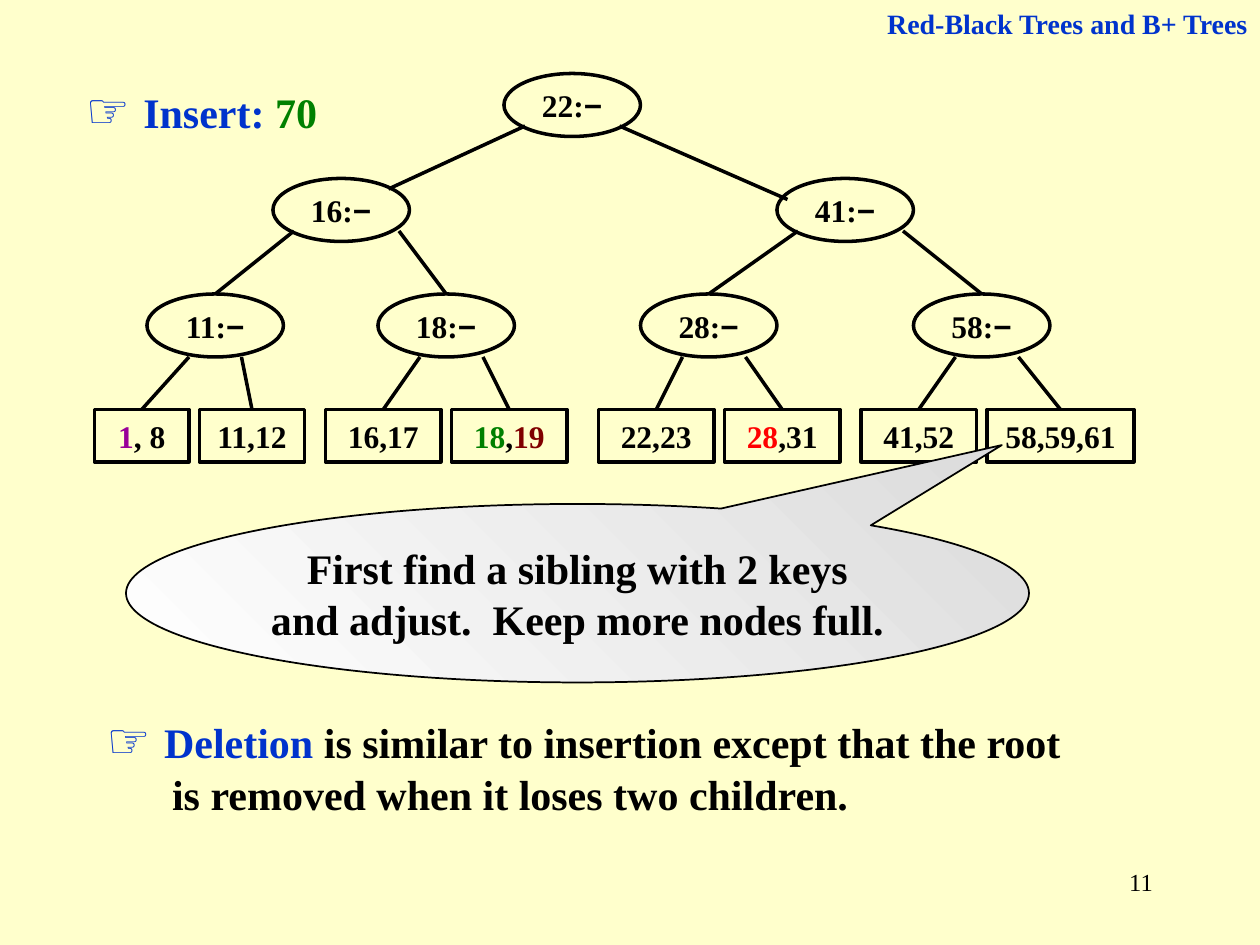
"""Build a slide on inserting a key into a B+ tree."""
from lxml import etree
from pptx import Presentation
from pptx import util as u
from pptx.dml.color import RGBColor
from pptx.enum import shapes, text
from pptx.oxml.ns import qn

BLACK, BLUE, GREEN, CREAM = "000000", "0033CC", "008000", "FFFFCC"
SERIF, SANS = "Times New Roman", "Arial"
NODE_WIDTH, NODE_HEIGHT = 13, 6
LEAF_TOP, LEAF_HEIGHT = 39, 5

NODES = {
    "22": (48, 7), "16": (26, 17), "41": (74, 17),
    "11": (14, 28), "18": (36, 28), "28": (61, 28), "58": (87, 28),
}
LEAVES = {
    "1, 8": (9, 9, [("1", "990099"), (", 8", BLACK)], None),
    "11,12": (19, 10, [("11,12", BLACK)], None),
    "16,17": (31, 11, [("16,17", BLACK)], CREAM),
    "18,19": (43, 11, [("18", GREEN), (",", BLACK), ("19", "800000")], CREAM),
    "22,23": (57, 11, [("22,23", BLACK)], None),
    "28,31": (69, 11, [("28", "FF0000"), (",31", BLACK)], None),
    "41,52": (82, 11, [("41,52", BLACK)], None),
    "58,59,61": (94, 14, [("58,59,61", BLACK)], None),
}
ROOT_EDGES = [((50, 12), (37, 18)), ((59, 12), (75, 19))]
CHILD_EDGES = [
    ((28, 22), "11"), ((38, 22), "18"), ((76, 22), "28"), ((86, 22), "58"),
    ((18, 34), "1, 8"), ((23, 34), "11,12"),
    ((40, 34), "16,17"), ((46, 34), "18,19"),
    ((65, 34), "22,23"), ((71, 34), "28,31"),
    ((91, 34), "41,52"), ((97, 34), "58,59,61"),
]


def grid(steps):
    """Turn steps of a twelfth of an inch into a length."""
    return u.Cm(steps * 2.54 / 12)


def color(value):
    """Turn a hex string into a colour."""
    return RGBColor.from_string(value)


def write(shape, runs, align="LEFT", anchor="TOP", wrap=True, before=0, hang=0, grow=False):
    """Fill a shape with runs of (text, colour, size, font, bold)."""
    frame = shape.text_frame
    frame.word_wrap = wrap
    frame.vertical_anchor = getattr(text.MSO_ANCHOR, anchor)
    if grow:
        frame.auto_size = text.MSO_AUTO_SIZE.SHAPE_TO_FIT_TEXT
    paragraph = frame.paragraphs[0]
    paragraph.alignment = getattr(text.PP_ALIGN, align)
    paragraph.space_before = u.Pt(before)
    if hang:
        properties = paragraph._p.get_or_add_pPr()
        properties.set("marL", str(u.Cm(hang)))
        properties.set("indent", str(-u.Cm(hang)))
    for words, value, size, font, bold in runs:
        run = paragraph.add_run()
        run.text = words
        run.font.color.rgb = color(value)
        run.font.size = u.Pt(size)
        run.font.name = font
        run.font.bold = bold


def add_text(slide, box, runs, **layout):
    """Add a text box at (left, top, width, height) in centimetres."""
    shape = slide.shapes.add_textbox(*(u.Cm(length) for length in box))
    write(shape, runs, **layout)


def add_outlined(parent, kind, box, runs, width=2, fill=None, wrap=False):
    """Add a black-outlined shape with centred text at a place on the grid."""
    shape = parent.shapes.add_shape(kind, *(grid(steps) for steps in box))
    shape.shadow.inherit = False
    shape.line.color.rgb = color(BLACK)
    shape.line.width = u.Pt(width)
    if fill:
        shape.fill.solid()
        shape.fill.fore_color.rgb = color(fill)
    else:
        shape.fill.background()
    write(shape, runs, align="CENTER", anchor="MIDDLE", wrap=wrap)
    return shape


def add_edge(parent, start, end):
    """Add a straight tree edge between two grid points."""
    points = (grid(steps) for steps in (*start, *end))
    edge = parent.shapes.add_connector(shapes.MSO_CONNECTOR.STRAIGHT, *points)
    edge.line.color.rgb = color(BLACK)
    edge.line.width = u.Pt(2)
    etree.SubElement(edge._element.spPr, qn("a:effectLst"))
    return edge


def add_tree(slide):
    """Add the grouped nodes, leaves and edges of the tree."""
    tree = slide.shapes.add_group_shape()
    children = {}
    for key, (left, top) in NODES.items():
        runs = [(key + ":", BLACK, 18, SERIF, True), ("−", BLACK, 18, SANS, True)]
        box = (left, top, NODE_WIDTH, NODE_HEIGHT)
        children[key] = add_outlined(tree, shapes.MSO_SHAPE.OVAL, box, runs)
    for key, (left, width, parts, fill) in LEAVES.items():
        runs = [(words, value, 18, SERIF, True) for words, value in parts]
        box = (left, LEAF_TOP, width, LEAF_HEIGHT)
        children[key] = add_outlined(tree, shapes.MSO_SHAPE.RECTANGLE, box, runs, fill=fill)
    for start, end in ROOT_EDGES:
        add_edge(tree, start, end)
    for start, key in CHILD_EDGES:
        add_edge(tree, start, start).end_connect(children[key], 0)


def add_callout(slide):
    """Add the shaded speech bubble that points at the full leaf."""
    words = "First find a sibling with 2 keys and adjust.  Keep more nodes full."
    callout = add_outlined(slide, shapes.MSO_SHAPE.OVAL_CALLOUT, (12, 48, 86, 17),
                           [(words, BLACK, 24, SERIF, True)], width=1, wrap=True)
    callout.adjustments[0] = 0.47
    callout.adjustments[1] = -0.83
    callout.fill.gradient()
    callout.fill.gradient_angle = 45
    for stop, value in zip(callout.fill.gradient_stops, ("FFFFFF", "DDDDDD")):
        stop.color.rgb = color(value)


def main():
    """Build and save the slide."""
    presentation = Presentation()
    presentation.slide_width, presentation.slide_height = u.Cm(25.4), u.Cm(19.05)
    slide = presentation.slides.add_slide(presentation.slide_layouts[6])
    slide.background.fill.solid()
    slide.background.fill.fore_color.rgb = color(CREAM)

    pointer = ("☞ ", BLUE, 28, SANS, True)
    add_text(slide, (18.2, 17.35, 5.29, 1.27), [("11", BLACK, 14, SERIF, False)], align="RIGHT")
    add_tree(slide)
    add_text(slide, (1.48, 1.48, 6.14, 1.45),
             [pointer, ("Insert: ", BLUE, 24, SERIF, True), ("70", GREEN, 24, SERIF, True)],
             before=15, grow=True)
    add_callout(slide)
    rule = "is similar to insertion except that the root is removed when it loses two children."
    add_text(slide, (1.9, 14.18, 20.11, 2.46),
             [pointer, ("Deletion ", BLUE, 24, SERIF, True), (rule, BLACK, 24, SERIF, True)],
             before=15, hang=1.32, grow=True)
    add_text(slide, (17.1, 0, 8.3, 0.94),
             [("Red-Black Trees and B+ Trees", BLUE, 16, SERIF, True)],
             align="RIGHT", before=10, grow=True)
    presentation.save("out.pptx")


if __name__ == "__main__":
    main()
